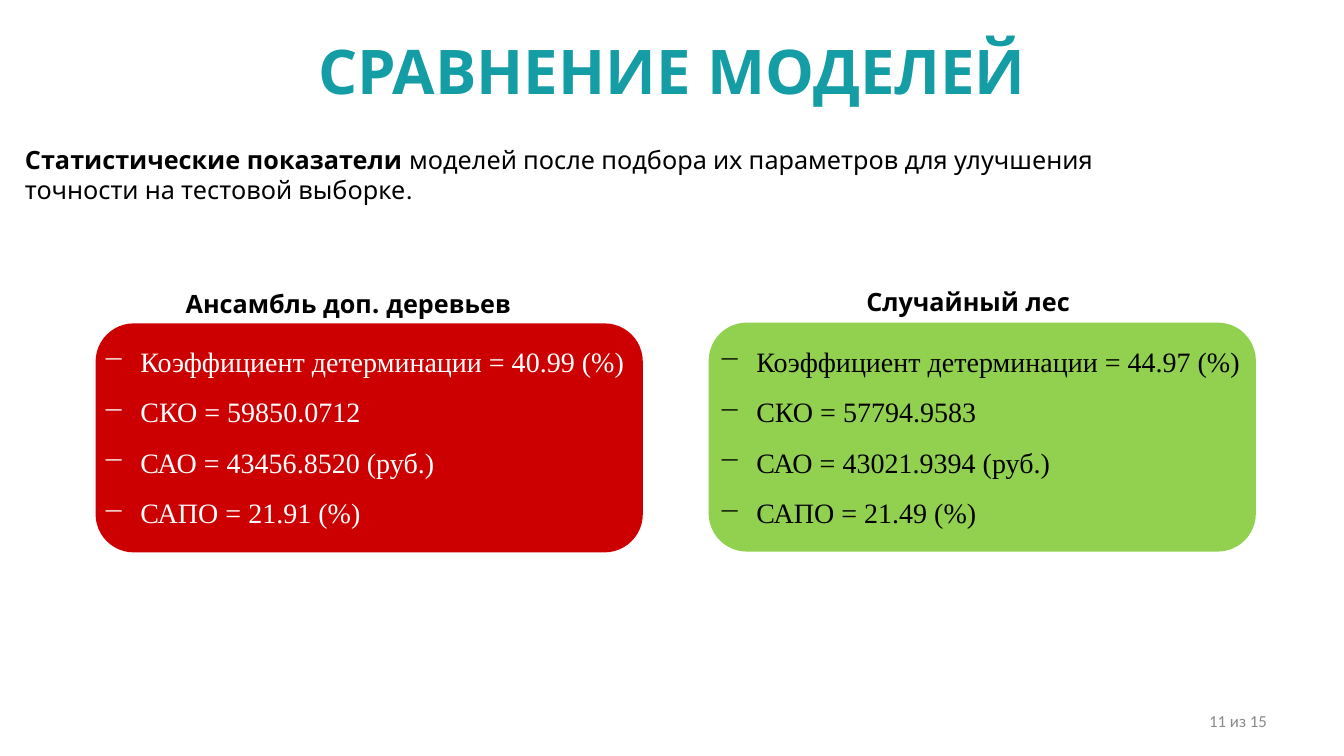
"""Build the slide that compares the statistics of two models."""
from dataclasses import dataclass

import lxml.etree
import pptx
import pptx.dml.color
import pptx.enum.shapes
import pptx.enum.text
import pptx.oxml.ns
import pptx.slide
import pptx.text.text
import pptx.util

Cm = pptx.util.Cm
Pt = pptx.util.Pt
Align = pptx.enum.text.PP_ALIGN
Anchor = pptx.enum.text.MSO_ANCHOR


@dataclass(frozen=True)
class Style:
    size: int
    font: str
    color: str
    bold: bool = False


@dataclass(frozen=True)
class Theme:
    title: Style = Style(44, "League Spartan", "149DA4", True)
    body: Style = Style(18, "League Spartan", "000000")
    strong: Style = Style(18, "League Spartan", "000000", True)
    metric_light: Style = Style(20, "Times New Roman", "FFFFFF")
    metric_dark: Style = Style(20, "Times New Roman", "000000")
    page: Style = Style(12, "Calibri", "898989")
    worse: str = "CC0000"
    better: str = "92D050"


@dataclass(frozen=True)
class Box:
    left: float
    top: float
    width: float
    height: float

    def lengths(self) -> tuple[pptx.util.Length, ...]:
        return Cm(self.left), Cm(self.top), Cm(self.width), Cm(self.height)


@dataclass(frozen=True)
class Model:
    name: str
    metrics: tuple[str, ...]
    fill: str
    style: Style
    caption: Box
    panel: Box
    listing: Box


THEME = Theme()
INDENT = Cm(0.95)
MODELS = (
    Model(
        "Ансамбль доп. деревьев",
        ("Коэффициент детерминации = 40.99 (%)", "СКО = 59850.0712",
         "САО = 43456.8520 (руб.)", "САПО = 21.91 (%)"),
        THEME.worse, THEME.metric_light,
        Box(3.18, 7.14, 11.2, 1.02), Box(2.41, 8.15, 13.79, 5.77), Box(2.34, 8.13, 13.87, 5.26),
    ),
    Model(
        "Случайный лес",
        ("Коэффициент детерминации = 44.97 (%)", "СКО = 57794.9583",
         "САО = 43021.9394 (руб.)", "САПО = 21.49 (%)"),
        THEME.better, THEME.metric_dark,
        Box(18.8, 7.09, 11.2, 1.02), Box(17.86, 8.13, 13.79, 5.77), Box(17.86, 8.13, 13.79, 5.26),
    ),
)


def add_run(paragraph: pptx.text.text._Paragraph, text: str, style: Style) -> None:
    run = paragraph.add_run()
    run.text = text
    run.font.size = Pt(style.size)
    run.font.name = style.font
    run.font.bold = style.bold
    run.font.color.rgb = pptx.dml.color.RGBColor.from_string(style.color)


def add_text(slide: pptx.slide.Slide, box: Box) -> pptx.text.text.TextFrame:
    frame = slide.shapes.add_textbox(*box.lengths()).text_frame
    frame.word_wrap = True
    return frame


def add_dash(paragraph: pptx.text.text._Paragraph) -> None:
    properties = paragraph._p.get_or_add_pPr()
    properties.set("marL", str(INDENT))
    properties.set("indent", str(-INDENT))
    lxml.etree.SubElement(properties, pptx.oxml.ns.qn("a:buChar"), char="─")


def add_title(slide: pptx.slide.Slide, text: str) -> None:
    title = slide.shapes.title
    title.left, title.top, title.width, title.height = Box(1.7, 0.18, 30.48, 3.18).lengths()
    title.text_frame.vertical_anchor = Anchor.MIDDLE
    heading = title.text_frame.paragraphs[0]
    heading.alignment = Align.CENTER
    add_run(heading, text, THEME.title)


def add_intro(slide: pptx.slide.Slide) -> None:
    intro = add_text(slide, Box(0.38, 3.51, 29.92, 1.8)).paragraphs[0]
    add_run(intro, "Статистические показатели ", THEME.strong)
    add_run(intro, "моделей после подбора их параметров для улучшения "
                   "точности на тестовой выборке.", THEME.body)


def add_model(slide: pptx.slide.Slide, model: Model) -> None:
    panel = slide.shapes.add_shape(
        pptx.enum.shapes.MSO_SHAPE.ROUNDED_RECTANGLE, *model.panel.lengths())
    panel.shadow.inherit = False
    panel.fill.solid()
    panel.fill.fore_color.rgb = pptx.dml.color.RGBColor.from_string(model.fill)
    panel.line.fill.background()

    caption = add_text(slide, model.caption).paragraphs[0]
    caption.alignment = Align.CENTER
    add_run(caption, model.name, THEME.strong)

    listing = add_text(slide, model.listing)
    for index, metric in enumerate(model.metrics):
        line = listing.add_paragraph() if index else listing.paragraphs[0]
        line.alignment = Align.JUSTIFY
        line.line_spacing = 1.5
        add_dash(line)
        add_run(line, metric, model.style)
    listing.paragraphs[-1].space_after = Pt(8)


def add_page(slide: pptx.slide.Slide, text: str) -> None:
    frame = add_text(slide, Box(24.28, 17.65, 7.9, 1.02))
    frame.vertical_anchor = Anchor.MIDDLE
    page = frame.paragraphs[0]
    page.alignment = Align.RIGHT
    add_run(page, text, THEME.page)


def main() -> None:
    deck = pptx.Presentation()
    deck.slide_width, deck.slide_height = Cm(33.87), Cm(19.05)
    slide = deck.slides.add_slide(deck.slide_layouts.get_by_name("Title Only"))
    add_title(slide, "СРАВНЕНИЕ МОДЕЛЕЙ")
    add_intro(slide)
    for model in MODELS:
        add_model(slide, model)
    add_page(slide, "11 из 15")
    deck.save("out.pptx")


if __name__ == "__main__":
    main()
